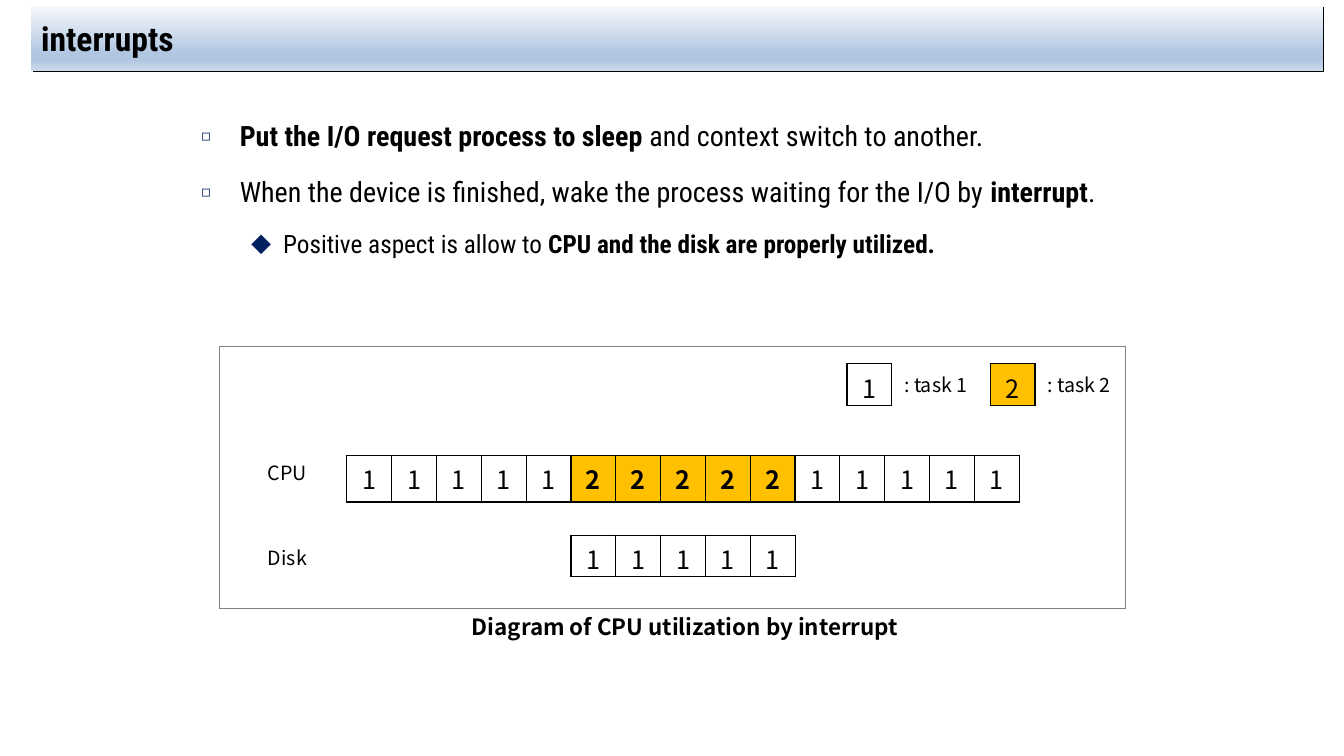
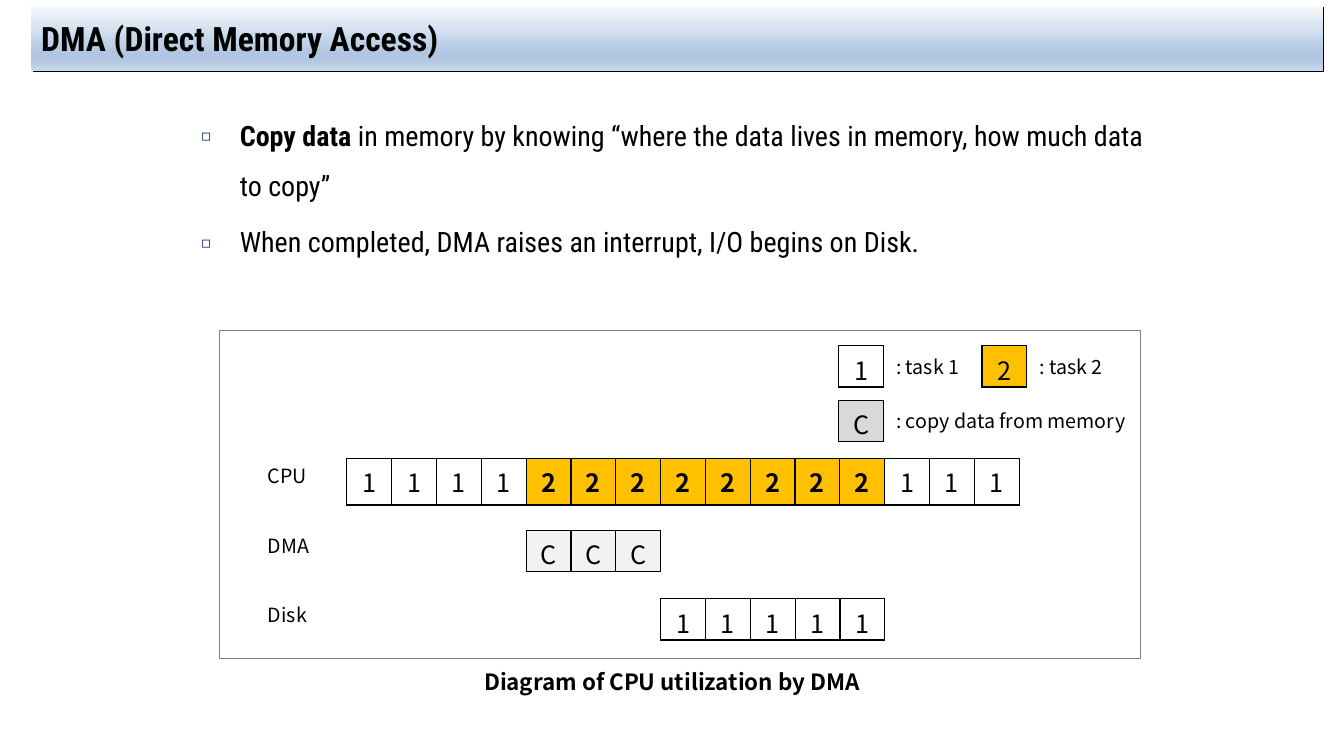
from lxml import etree
from pptx import Presentation
from pptx.dml.color import RGBColor
from pptx.enum.shapes import MSO_SHAPE
from pptx.enum.text import MSO_ANCHOR, PP_ALIGN
from pptx.oxml import parse_xml
from pptx.oxml.ns import nsdecls, qn
from pptx.util import Emu, Pt

# Scale and shared style
PX = 9144  # 100 px to the inch
BLACK = RGBColor(0x00, 0x00, 0x00)
WHITE = RGBColor(0xFF, 0xFF, 0xFF)
AMBER = RGBColor(0xFF, 0xC0, 0x00)
PALE_GRAY = RGBColor(0xF2, 0xF2, 0xF2)
KEY_GRAY = RGBColor(0xD9, 0xD9, 0xD9)
FRAME_GRAY = RGBColor(0x80, 0x80, 0x80)
NAVY = RGBColor(0x00, 0x20, 0x60)
BAND_STOPS = [
    (0, RGBColor(0xF6, 0xF9, 0xFC)),
    (74, RGBColor(0xB0, 0xC6, 0xE1)),
    (83, RGBColor(0xB0, 0xC6, 0xE1)),
    (100, RGBColor(0xCA, 0xD9, 0xEB)),
]
HEAD_FONT, DIAGRAM_FONT = "Roboto Condensed", "Noto Sans CJK KR"
TITLE = {"name": HEAD_FONT, "size": Pt(24), "bold": True}
LABEL = {"name": DIAGRAM_FONT, "size": Pt(14)}
CAPTION = {"name": DIAGRAM_FONT, "size": Pt(16), "bold": True}
CELL = {"name": DIAGRAM_FONT, "size": Pt(18)}
# Per level: text size, left margin, hanging indent, bullet, bullet size %
LEVELS = [(20, 38, 38, "◻", 55), (18, 81, 31, "◆", 80)]
TASK_FILL = {"1": WHITE, "2": AMBER, "C": PALE_GRAY}

# Time axis: 15 equal slots
AXIS_X, SLOTS, ROW_H, CPU_H = 344, 15, 41, 46
SLOT = 667 * PX // SLOTS
LABEL_X, LABEL_W, LABEL_H = 256, 80, 34

# Content: rows are (name, label y, strip y, height, first slot, tasks),
# keys are (x, y, task, fill, text, text width)
SLIDES = [
    {
        "title": "interrupts",
        "bullets": [
            (0, [("Put the I/O request process to sleep ", True),
                 ("and context switch to another.", False)]),
            (0, [("When the device is finished, wake the process waiting for the I/O by ", False),
                 ("interrupt", True), (".", False)]),
            (1, [("Positive aspect is allow to ", False),
                 ("CPU and the disk are properly utilized.", True)]),
        ],
        "frame": (218, 344, 898, 260),
        "rows": [("CPU", 452, 452, CPU_H, 0, "111112222211111"),
                 ("Disk", 537, 531, ROW_H, 5, "11111")],
        "keys": [(840, 361, "1", WHITE, ": task 1", 87),
                 (982, 361, "2", AMBER, ": task 2", 87)],
        "caption": ("Diagram of CPU utilization by interrupt", 412, 603),
    },
    {
        "title": "DMA (Direct Memory Access)",
        "bullets": [
            (0, [("Copy data ", True),
                 ("in memory by knowing “where the data lives in memory, "
                  "how much data to copy”", False)]),
            (0, [("When completed, DMA raises an interrupt, I/O begins on Disk.", False)]),
        ],
        "frame": (218, 328, 913, 325),
        "rows": [("CPU", 455, 455, CPU_H, 0, "111122222222111"),
                 ("DMA", 525, 526, ROW_H, 4, "CCC"),
                 ("Disk", 593, 594, ROW_H, 7, "11111")],
        "keys": [(832, 343, "1", WHITE, ": task 1", 87),
                 (974, 343, "2", AMBER, ": task 2", 87),
                 (832, 397, "C", KEY_GRAY, ": copy data from memory", 266)],
        "caption": ("Diagram of CPU utilization by DMA", 399, 658),
    },
]


def box(*lengths):
    return [Emu(n * PX) for n in lengths]


def add_run(p, text, fmt):
    r = p.add_run()
    r.text = text
    for key, value in fmt.items():
        setattr(r.font, key, value)
    r.font.color.rgb = BLACK


def add_text(s, x, y, w, h, text, fmt, align=PP_ALIGN.LEFT):
    tf = s.shapes.add_textbox(*box(x, y, w, h)).text_frame
    tf.word_wrap = True
    tf.paragraphs[0].alignment = align
    add_run(tf.paragraphs[0], text, fmt)


def add_rect(s, *lengths):
    sp = s.shapes.add_shape(MSO_SHAPE.RECTANGLE, *box(*lengths))
    sp.shadow.inherit = False
    sp.fill.background()
    return sp


def add_title(s, text):
    sp = add_rect(s, 31, 6, 1281, 64)
    sp.line.fill.background()
    # Vertical gradient and thin offset shadow
    stops = "".join(f'<a:gs pos="{pos * 1000}"><a:srgbClr val="{c}"/></a:gs>'
                    for pos, c in BAND_STOPS)
    pr = sp.fill._xPr
    pr.replace(pr.find(qn("a:noFill")), parse_xml(
        f'<a:gradFill {nsdecls("a")} rotWithShape="1"><a:gsLst>{stops}</a:gsLst>'
        '<a:lin ang="5400000" scaled="0"/></a:gradFill>'))
    pr.find(qn("a:effectLst")).append(parse_xml(
        f'<a:outerShdw {nsdecls("a")} dist="17961" dir="2700000" algn="ctr" '
        f'rotWithShape="0"><a:srgbClr val="{BLACK}"/></a:outerShdw>'))
    tf = sp.text_frame
    tf.vertical_anchor = MSO_ANCHOR.MIDDLE
    tf.paragraphs[0].alignment = PP_ALIGN.LEFT
    add_run(tf.paragraphs[0], text, TITLE)


def add_bullets(s, bullets):
    tf = s.shapes.add_textbox(*box(190, 96, 961, 460)).text_frame
    tf.word_wrap = True
    for i, (level, runs) in enumerate(bullets):
        p = tf.add_paragraph() if i else tf.paragraphs[0]
        size, margin, hang, char, percent = LEVELS[level]
        p.level, p.line_spacing, p.space_before = level, 1.5, Pt(size * 0.2)
        pr = p._p.get_or_add_pPr()
        pr.set("marL", str(margin * PX))
        pr.set("indent", str(-hang * PX))
        color = etree.SubElement(pr, qn("a:buClr"))
        etree.SubElement(color, qn("a:srgbClr"), val=str(NAVY))
        etree.SubElement(pr, qn("a:buSzPct"), val=str(percent * 1000))
        etree.SubElement(pr, qn("a:buFont"), typeface=DIAGRAM_FONT)
        etree.SubElement(pr, qn("a:buChar"), char=char)
        for text, bold in runs:
            add_run(p, text, {"name": HEAD_FONT, "size": Pt(size), "bold": bold})


def add_strip(s, x, y, h, tasks, fills, bold_task=None):
    """One-row table with a bordered cell per time slot; x is in EMU."""
    table = s.shapes.add_table(1, len(tasks), Emu(x), Emu(y * PX),
                               Emu(SLOT * len(tasks)), Emu(h * PX)).table
    table.first_row = table.horz_banding = False
    for i, task in enumerate(tasks):
        table.columns[i].width = Emu(SLOT)
        cell = table.cell(0, i)
        p = cell.text_frame.paragraphs[0]
        p.alignment = PP_ALIGN.CENTER
        add_run(p, task, {**CELL, "bold": task == bold_task})
        pr = cell._tc.get_or_add_tcPr()
        for side in ("lnL", "lnR", "lnT", "lnB"):
            pr.append(parse_xml(
                f'<a:{side} {nsdecls("a")} w="12700"><a:solidFill>'
                f'<a:srgbClr val="{BLACK}"/></a:solidFill></a:{side}>'))
        cell.fill.solid()
        cell.fill.fore_color.rgb = fills[task]


def add_diagram(s, data):
    frame = add_rect(s, *data["frame"])
    frame.line.color.rgb = FRAME_GRAY
    frame.line.width = Pt(0.75)
    for name, label_y, y, h, first, tasks in data["rows"]:
        add_text(s, LABEL_X, label_y, LABEL_W, LABEL_H, name, LABEL)
        add_strip(s, AXIS_X * PX + first * SLOT, y, h, tasks, TASK_FILL, "2")
    for x, y, task, fill, text, w in data["keys"]:
        add_strip(s, x * PX, y, ROW_H, task, {task: fill})
        add_text(s, x + 47, y + 4, w, LABEL_H, text, LABEL)
    text, x, y = data["caption"]
    add_text(s, x, y, 535, 37, text, CAPTION, PP_ALIGN.CENTER)


def main():
    prs = Presentation()
    prs.slide_width, prs.slide_height = box(1333, 750)
    for data in SLIDES:
        s = prs.slides.add_slide(prs.slide_layouts[6])
        add_title(s, data["title"])
        add_bullets(s, data["bullets"])
        add_diagram(s, data)
    prs.save("out.pptx")


if __name__ == "__main__":
    main()
